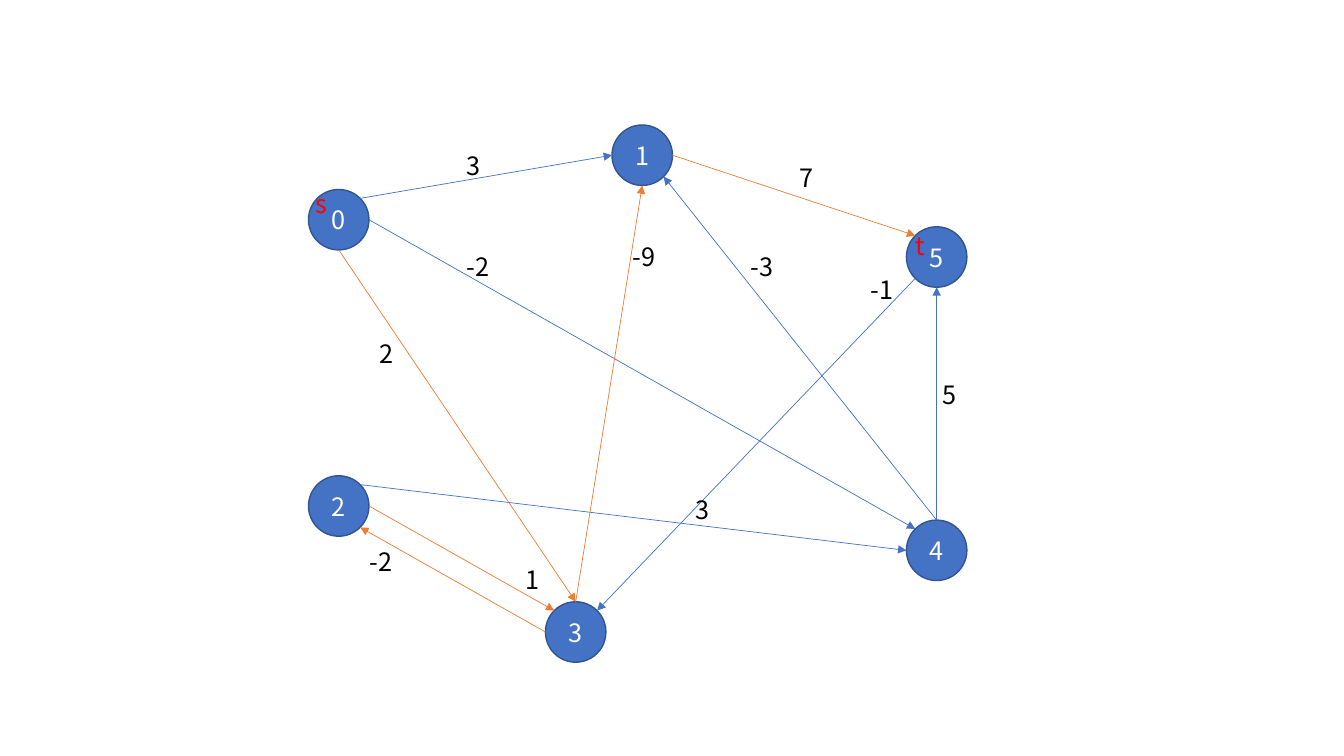
from math import cos, radians, sin

from lxml.etree import SubElement
from pptx import Presentation
from pptx.dml.color import RGBColor
from pptx.enum.shapes import MSO_CONNECTOR, MSO_SHAPE
from pptx.enum.text import MSO_ANCHOR, MSO_AUTO_SIZE, PP_ALIGN
from pptx.oxml.ns import qn
from pptx.util import Inches, Pt

COLUMNS, ROWS = 133.3, 75
NODE_SIZE = 6
LABEL_HEIGHT = 4
BLUE, ORANGE, RED = "4472C4", "ED7D31", "FF0000"
OUTLINE, WHITE, BLACK = "325491", "FFFFFF", "000000"

ANGLES = {"E": 0, "SE": 45, "S": 90, "SW": 135, "W": 180, "NW": 225, "N": 270, "NE": 315}

NODES = {
    "0": (33.6, 21.8),
    "3": (57.1, 62.7),
    "2": (33.6, 50.2),
    "1": (63.7, 15.4),
    "4": (92.9, 54.6),
    "5": (92.9, 25.5),
}

EDGES = [
    ("0", "NE", "1", "W", BLUE),
    ("0", "E", "4", "NW", BLUE),
    ("1", "E", "5", "NW", ORANGE),
    ("2", "E", "3", "NW", ORANGE),
    ("3", "W", "2", "SE", ORANGE),
    ("2", "NE", "4", "W", BLUE),
    ("4", "N", "5", "S", BLUE),
    ("0", "S", "3", "N", ORANGE),
    ("3", "N", "1", "S", ORANGE),
    ("5", "SW", "3", "NE", BLUE),
    ("4", "N", "1", "SE", BLUE),
]

WEIGHTS = [
    ("-2", 45.3, 24.4),
    ("7", 78.3, 15.6),
    ("1", 51.1, 55.5),
    ("-2", 35.7, 53.7),
    ("5", 92.5, 37.1),
    ("3", 68, 48.5),
    ("2", 36.7, 33.1),
    ("-9", 61.8, 23.4),
    ("-3", 73.5, 24.4),
    ("-1", 85.4, 26.7),
]


def color(value):
    return RGBColor.from_string(value)


def cells(count):
    return Inches(count / 10)


def rim_point(name, side):
    column, row = NODES[name]
    angle = radians(ANGLES[side])
    radius = NODE_SIZE / 2
    return cells(column + radius * cos(angle)), cells(row + radius * sin(angle))


class GraphSlide:
    font_name = "Noto Sans CJK KR"
    font_size = Pt(18)

    def __init__(self, page):
        self.page = page

    def set_text(self, frame, text, ink, align):
        para = frame.paragraphs[0]
        para.text = text
        para.alignment = align
        para.font.name = self.font_name
        para.font.size = self.font_size
        para.font.color.rgb = color(ink)

    def node(self, name, column, row):
        corner = cells(column - NODE_SIZE / 2), cells(row - NODE_SIZE / 2)
        size = cells(NODE_SIZE)
        circle = self.page.shapes.add_shape(MSO_SHAPE.OVAL, *corner, size, size)
        circle.shadow.inherit = False
        circle.fill.solid()
        circle.fill.fore_color.rgb = color(BLUE)
        circle.line.color.rgb = color(OUTLINE)
        circle.line.width = Pt(1)
        circle.text_frame.vertical_anchor = MSO_ANCHOR.MIDDLE
        self.set_text(circle.text_frame, name, WHITE, PP_ALIGN.CENTER)

    def edge(self, source, source_side, target, target_side, ink):
        arrow = self.page.shapes.add_connector(
            MSO_CONNECTOR.STRAIGHT,
            *rim_point(source, source_side),
            *rim_point(target, target_side),
        )
        arrow.line.color.rgb = color(ink)
        arrow.line.width = Pt(0.5)
        properties = arrow.element.spPr
        SubElement(properties.find(qn("a:ln")), qn("a:tailEnd"), type="triangle")
        SubElement(properties, qn("a:effectLst"))

    def label(self, text, column, row, width, ink=BLACK, wrap=False):
        box = self.page.shapes.add_textbox(
            cells(column), cells(row), cells(width), cells(LABEL_HEIGHT)
        )
        box.text_frame.word_wrap = wrap
        box.text_frame.auto_size = MSO_AUTO_SIZE.SHAPE_TO_FIT_TEXT
        self.set_text(box.text_frame, text, ink, PP_ALIGN.LEFT)


def main():
    deck = Presentation()
    deck.slide_width, deck.slide_height = cells(COLUMNS), cells(ROWS)
    graph = GraphSlide(deck.slides.add_slide(deck.slide_layouts[6]))

    for name, (column, row) in NODES.items():
        graph.node(name, column, row)
    for edge in EDGES:
        graph.edge(*edge)

    graph.label("3", 45.3, 14.4, 2.8, wrap=True)
    for text, column, row in WEIGHTS:
        graph.label(text, column, row, 2.4 + len(text))
    graph.label("s", 30.3, 18.2, 3.1, RED)
    graph.label("t", 89.8, 22.4, 2.9, RED)

    deck.save("out.pptx")


if __name__ == "__main__":
    main()
